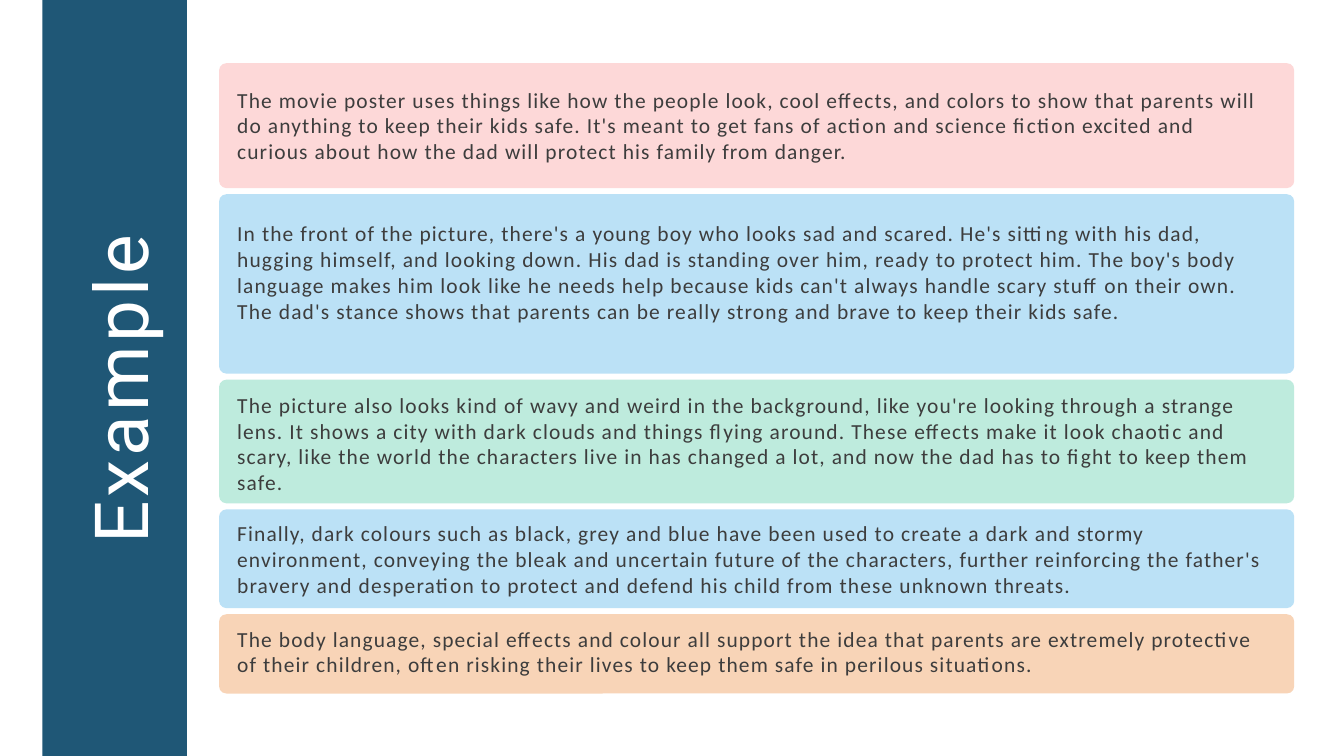
"""Build the example slide: a vertical title band beside five coloured paragraph cards."""
from pptx import Presentation
from pptx.dml.color import RGBColor
from pptx.enum.shapes import MSO_SHAPE
from pptx.enum.text import MSO_ANCHOR, MSO_AUTO_SIZE, PP_ALIGN
from pptx.util import Inches, Pt

BAND, INK, WHITE = "1F5776", "3D3D3D", "FFFFFF"
PINK, BLUE, GREEN, ORANGE = "FDD8D8", "BBE1F6", "BEEBDD", "F8D4B7"
CARD_LEFT, CARD_TOP, CARD_WIDTH, CARD_GAP, CARD_RADIUS = 3.26, 0.94, 16, 0.09, 0.11
TEXT_LEFT, TEXT_WIDTH = 3.53, 15.38

# Each card: fill, card height, text inset from the card top, text height, wording
CARDS = [
    (PINK, 1.86, 0.35, 1.14,
     "The movie poster uses things like how the people look, cool effects, and colors to show "
     "that parents will do anything to keep their kids safe. It's meant to get fans of action "
     "and science fiction excited and curious about how the dad will protect his family from "
     "danger."),
    (BLUE, 2.67, 0.39, 1.89,
     "In the front of the picture, there's a young boy who looks sad and scared. He's sitting "
     "with his dad, hugging himself, and looking down. His dad is standing over him, ready to "
     "protect him. The boy's body language makes him look like he needs help because kids can't "
     "always handle scary stuff on their own. The dad's stance shows that parents can be really "
     "strong and brave to keep their kids safe."),
    (GREEN, 1.84, 0.18, 1.51,
     "The picture also looks kind of wavy and weird in the background, like you're looking "
     "through a strange lens. It shows a city with dark clouds and things flying around. These "
     "effects make it look chaotic and scary, like the world the characters live in has changed "
     "a lot, and now the dad has to fight to keep them safe."),
    (BLUE, 1.47, 0.16, 1.14,
     "Finally, dark colours such as black, grey and blue have been used to create a dark and "
     "stormy environment, conveying the bleak and uncertain future of the characters, further "
     "reinforcing the father's bravery and desperation to protect and defend his child from "
     "these unknown threats."),
    (ORANGE, 1.18, 0.17, 0.76,
     "The body language, special effects and colour all support the idea that parents are "
     "extremely protective of their children, often risking their lives to keep them safe in "
     "perilous situations."),
]


def color(value):
    return RGBColor.from_string(value)


def add_block(slide, preset, left, top, width, height, fill):
    shape = slide.shapes.add_shape(
        preset, Inches(left), Inches(top), Inches(width), Inches(height))
    shape.shadow.inherit = False
    shape.fill.solid()
    shape.fill.fore_color.rgb = color(fill)
    shape.line.fill.background()
    return shape


def set_text(shape, text, font_name, size, line_spacing, letter_spacing, ink, alignment):
    frame = shape.text_frame
    frame.text = text
    frame.word_wrap = True
    frame.auto_size = MSO_AUTO_SIZE.NONE
    frame.vertical_anchor = MSO_ANCHOR.TOP
    frame.margin_left = frame.margin_right = frame.margin_top = frame.margin_bottom = 0
    paragraph = frame.paragraphs[0]
    paragraph.alignment = alignment
    paragraph.line_spacing = Pt(line_spacing)
    paragraph.space_before = Pt(0)
    run = paragraph.runs[0]
    run.font.name = font_name
    run.font.size = Pt(size)
    run.font.color.rgb = color(ink)
    run.font._element.set("spc", str(round(letter_spacing * 100)))


def add_title(slide):
    add_block(slide, MSO_SHAPE.RECTANGLE, 0.63, -0.35, 2.15, 11.94, BAND)
    title = slide.shapes.title
    title.left, title.top = Inches(-2.72), Inches(4.95)
    title.width, title.height = Inches(9), Inches(1.35)
    title.rotation = 270
    set_text(title, "Example ", "Roboto", 80, 96, 4.2, WHITE, PP_ALIGN.CENTER)
    slide.shapes._spTree.append(title._element)


def add_cards(slide):
    top = CARD_TOP
    for fill, height, inset, text_height, text in CARDS:
        card = add_block(slide, MSO_SHAPE.ROUNDED_RECTANGLE,
                         CARD_LEFT, top, CARD_WIDTH, height, fill)
        card.adjustments[0] = CARD_RADIUS / height
        box = slide.shapes.add_textbox(Inches(TEXT_LEFT), Inches(top + inset),
                                       Inches(TEXT_WIDTH), Inches(text_height))
        set_text(box, text, "Calibri", 23, 27.6, 1.2, INK, PP_ALIGN.LEFT)
        top += height + CARD_GAP


def main():
    presentation = Presentation()
    presentation.slide_width, presentation.slide_height = Inches(20), Inches(11.25)
    slide = presentation.slides.add_slide(presentation.slide_layouts[5])
    add_title(slide)
    add_cards(slide)
    presentation.save("out.pptx")


if __name__ == "__main__":
    main()
